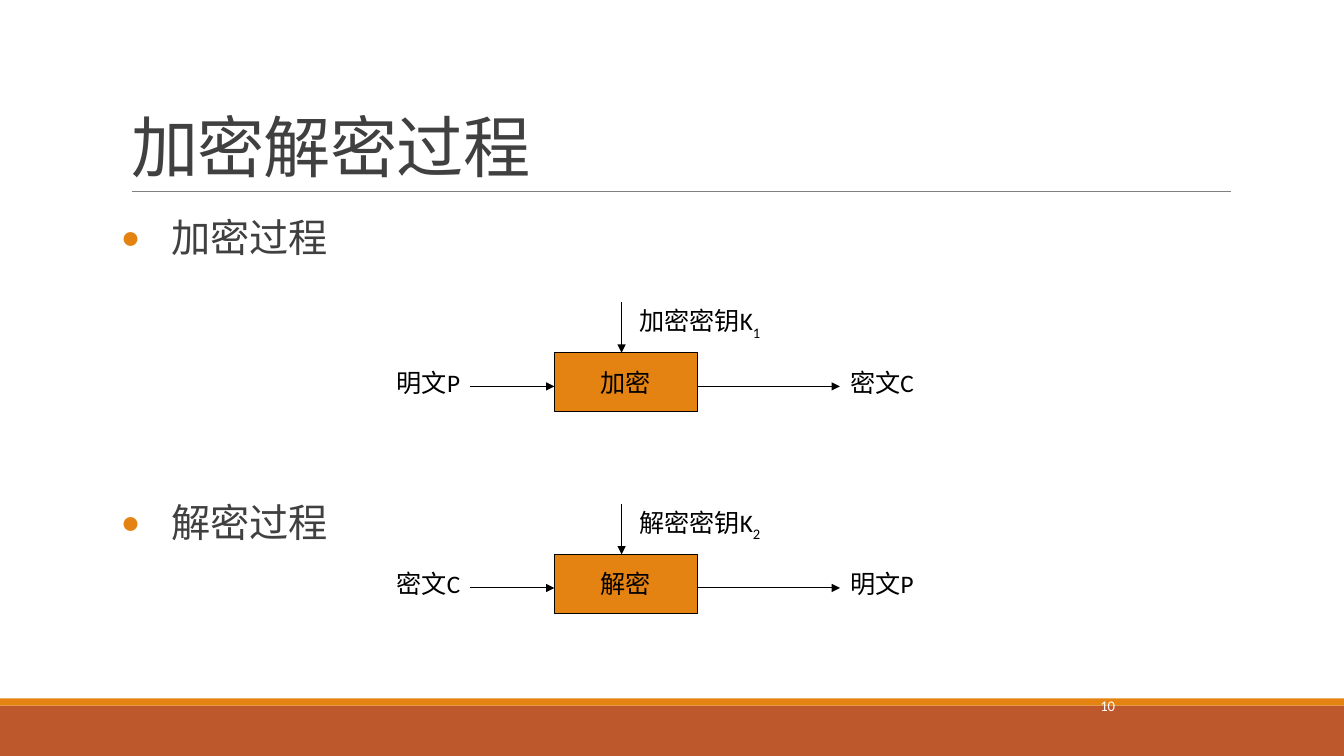
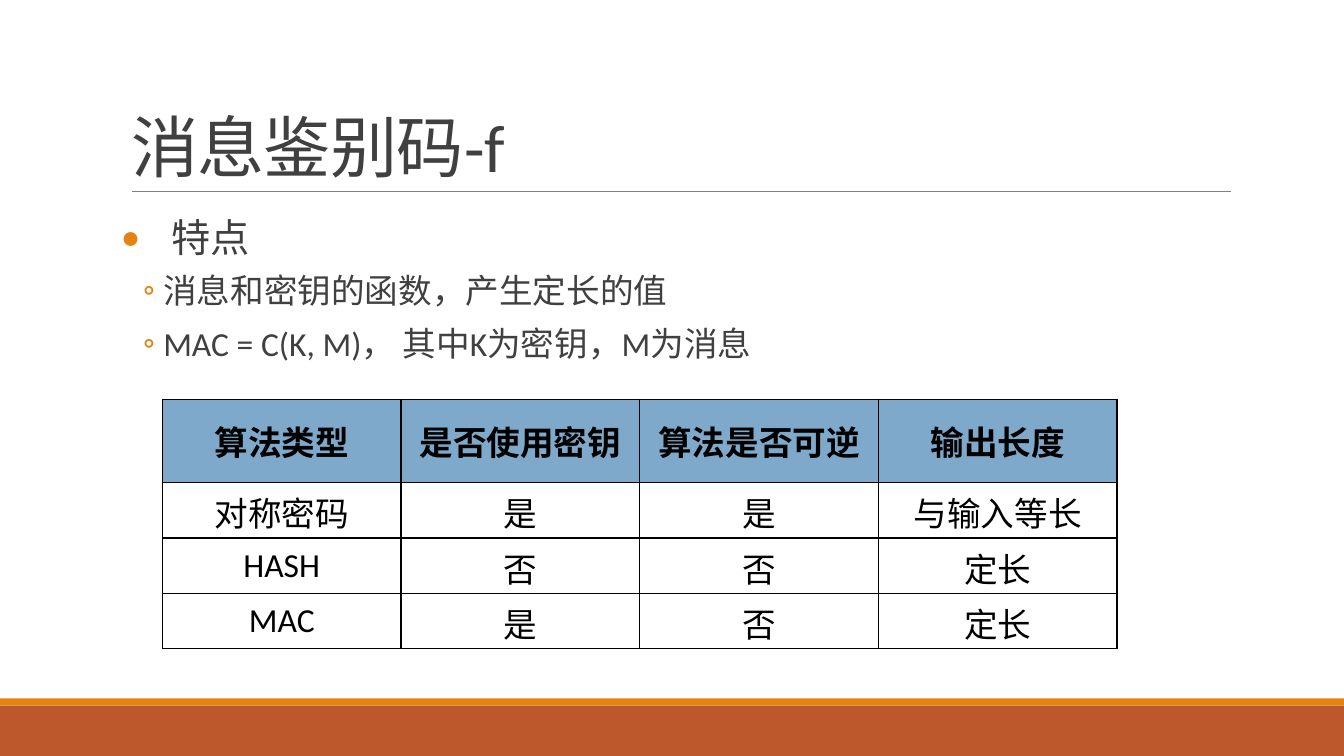
from dataclasses import dataclass

from lxml import etree
from pptx import Presentation
from pptx.dml.color import RGBColor
from pptx.enum import shapes as shape_kinds, text as text_kinds
from pptx.oxml import ns
from pptx.util import Pt


@dataclass(frozen=True)
class Theme:
    font: str = "Calibri"
    ink: RGBColor = RGBColor.from_string("404040")
    black: RGBColor = RGBColor.from_string("000000")
    white: RGBColor = RGBColor.from_string("FFFFFF")
    rule: RGBColor = RGBColor.from_string("808080")
    orange: RGBColor = RGBColor.from_string("E48312")
    rust: RGBColor = RGBColor.from_string("BD582C")
    header_blue: RGBColor = RGBColor.from_string("7EA9CA")
    title_size: float = 48
    topic_size: float = 28
    detail_size: float = 24
    label_size: float = 18
    number_size: float = 10.5


theme = Theme()
ALIGN = text_kinds.PP_ALIGN
MIDDLE = text_kinds.MSO_ANCHOR.MIDDLE
RECTANGLE = shape_kinds.MSO_SHAPE.RECTANGLE


def style_paragraph(paragraph, size, color, alignment=ALIGN.CENTER, bold=False):
    paragraph.alignment = alignment
    for run in paragraph.runs:
        run.font.name = theme.font
        run.font.size = Pt(size)
        run.font.bold = bold
        run.font.color.rgb = color


def add_line(shapes, start, end, color, width, arrow=False):
    """Draw a straight line between two points given as (x, y)."""
    line = shapes.add_connector(
        shape_kinds.MSO_CONNECTOR.STRAIGHT, *(Pt(value) for value in (*start, *end)))
    line.line.color.rgb = color
    line.line.width = Pt(width)
    if arrow:
        etree.SubElement(line.line._get_or_add_ln(), ns.qn("a:tailEnd"), type="triangle")
    etree.SubElement(line._element.spPr, ns.qn("a:effectLst"))
    return line


presentation = Presentation()
presentation.slide_width, presentation.slide_height = Pt(960), Pt(540)
title_only = presentation.slide_layouts[5]

# Each bullet: text, level, space before
contents = [
    ("加密解密过程", [("加密过程", 0, 12), ("解密过程", 0, 165)]),
    ("消息鉴别码-f", [
        ("特点", 0, 12),
        ("消息和密钥的函数，产生定长的值", 1, 2),
        ("MAC = C(K, M)， 其中K为密钥，M为消息", 1, 2),
    ]),
]
# Each level: bullet, size, left margin, hanging indent, space after
levels = [("•", theme.topic_size, 36, 36, 2), ("◦", theme.detail_size, 30.24, 14.4, 4)]

# Titles and bullets
for title_text, bullets in contents:
    slide = presentation.slides.add_slide(title_only)
    title = slide.shapes.title
    title.left, title.top, title.width, title.height = Pt(86.4), Pt(22.5), Pt(792), Pt(114.2)
    frame = title.text_frame
    frame.text = title_text
    frame.word_wrap = True
    frame.auto_size = text_kinds.MSO_AUTO_SIZE.NONE
    frame.vertical_anchor = text_kinds.MSO_ANCHOR.BOTTOM
    paragraph = frame.paragraphs[0]
    paragraph.line_spacing = 0.85
    style_paragraph(paragraph, theme.title_size, theme.ink, ALIGN.LEFT)
    paragraph.runs[0]._r.get_or_add_rPr().set("spc", "-50")

    body = slide.shapes.add_textbox(Pt(86.4), Pt(145.4), Pt(792), Pt(316.8))
    frame = body.text_frame
    frame.word_wrap = True
    frame.margin_left = frame.margin_right = 0
    for index, (bullet_text, level, space_before) in enumerate(bullets):
        mark, size, margin, hanging, space_after = levels[level]
        paragraph = frame.add_paragraph() if index else frame.paragraphs[0]
        paragraph.text = bullet_text
        paragraph.level = level
        paragraph.line_spacing = 1.1
        paragraph.space_before = Pt(space_before)
        paragraph.space_after = Pt(space_after)
        style_paragraph(paragraph, size, theme.ink, ALIGN.LEFT)
        properties = paragraph._p.get_or_add_pPr()
        properties.set("marL", str(Pt(margin)))
        properties.set("indent", str(-Pt(hanging)))
        bullet_color = etree.SubElement(properties, ns.qn("a:buClr"))
        etree.SubElement(bullet_color, ns.qn("a:srgbClr"), val=str(theme.orange))
        etree.SubElement(properties, ns.qn("a:buFont"), typeface=theme.font)
        etree.SubElement(properties, ns.qn("a:buChar"), char=mark)

process_slide, mac_slide = presentation.slides

# Bands and title rule, drawn once and moved to the shared layout
decorations = []
for top, height, color in [(504, 36, theme.rust), (498.8, 5.2, theme.orange)]:
    band = process_slide.shapes.add_shape(RECTANGLE, 0, Pt(top), Pt(960), Pt(height))
    band.shadow.inherit = False
    band.fill.solid()
    band.fill.fore_color.rgb = color
    band.line.fill.background()
    decorations.append(band)
decorations.append(
    add_line(process_slide.shapes, (94.3, 136.8), (879, 136.8), theme.rule, 0.5))
for decoration in decorations:
    title_only.shapes.element.append(decoration._element)

# Slide number
number = process_slide.shapes.add_textbox(Pt(653.8), Pt(486), Pt(149.8), Pt(36))
number.text_frame.text = "10"
number.text_frame.word_wrap = True
number.text_frame.vertical_anchor = MIDDLE
style_paragraph(number.text_frame.paragraphs[0], theme.number_size, theme.white, ALIGN.RIGHT)

# Encryption and decryption diagrams
processes = [
    (216, "加密", "加密密钥K", "1 ", "明文P", "密文C"),
    (360, "解密", "解密密钥K", "2 ", "密文C", "明文P"),
]
for top, action, key, key_number, source, result in processes:
    shapes = process_slide.shapes.add_group_shape().shapes
    box = shapes.add_shape(RECTANGLE, Pt(396), Pt(top + 36), Pt(102), Pt(42))
    box.shadow.inherit = False
    box.fill.solid()
    box.fill.fore_color.rgb = theme.orange
    box.line.color.rgb = theme.black
    box.line.width = Pt(0.75)
    box.text_frame.text = action

    key_label = shapes.add_textbox(Pt(444), Pt(top), Pt(114), Pt(30))
    key_label.text_frame.text = key
    subscript = key_label.text_frame.paragraphs[0].add_run()
    subscript.text = key_number
    subscript._r.get_or_add_rPr().set("baseline", "-30000")

    labels = [box, key_label]
    for left, label_text in [(270, source), (594, result)]:
        label = shapes.add_textbox(Pt(left), Pt(top + 42), Pt(72), Pt(30))
        label.text_frame.text = label_text
        labels.append(label)
    for label in labels:
        label.text_frame.word_wrap = False
        label.text_frame.vertical_anchor = MIDDLE
        style_paragraph(label.text_frame.paragraphs[0], theme.label_size, theme.black)

    flow = top + 60
    for start, end in [((444, top), (444, top + 36)),
                       ((336, flow), (396, flow)),
                       ((498, flow), (600, flow))]:
        add_line(shapes, start, end, theme.black, 0.75, arrow=True)

# Comparison table
rows = [
    ("算法类型", "是否使用密钥", "算法是否可逆", "输出长度"),
    ("对称密码", "是", "是", "与输入等长"),
    ("HASH", "否", "否", "定长"),
    ("MAC", "是", "否", "定长"),
]
table = mac_slide.shapes.add_table(
    len(rows), len(rows[0]), Pt(116), Pt(285.5), Pt(682), Pt(178)).table
table.horz_banding = False
for column in table.columns:
    column.width = Pt(170.5)
for row_index, values in enumerate(rows):
    is_header = row_index == 0
    table.rows[row_index].height = Pt(59.2 if is_header else 39.6)
    for column_index, value in enumerate(values):
        cell = table.cell(row_index, column_index)
        cell.text = value
        cell.vertical_anchor = MIDDLE
        style_paragraph(cell.text_frame.paragraphs[0], theme.detail_size, theme.black,
                        bold=is_header)
        if is_header:
            cell.fill.solid()
            cell.fill.fore_color.rgb = theme.header_blue
        else:
            cell.fill.background()
        properties = cell._tc.get_or_add_tcPr()
        for position, side in enumerate(("a:lnL", "a:lnR", "a:lnT", "a:lnB")):
            border = etree.Element(ns.qn(side), w=str(Pt(1)))
            border_fill = etree.SubElement(border, ns.qn("a:solidFill"))
            etree.SubElement(border_fill, ns.qn("a:srgbClr"), val=str(theme.black))
            properties.insert(position, border)

presentation.save("out.pptx")
